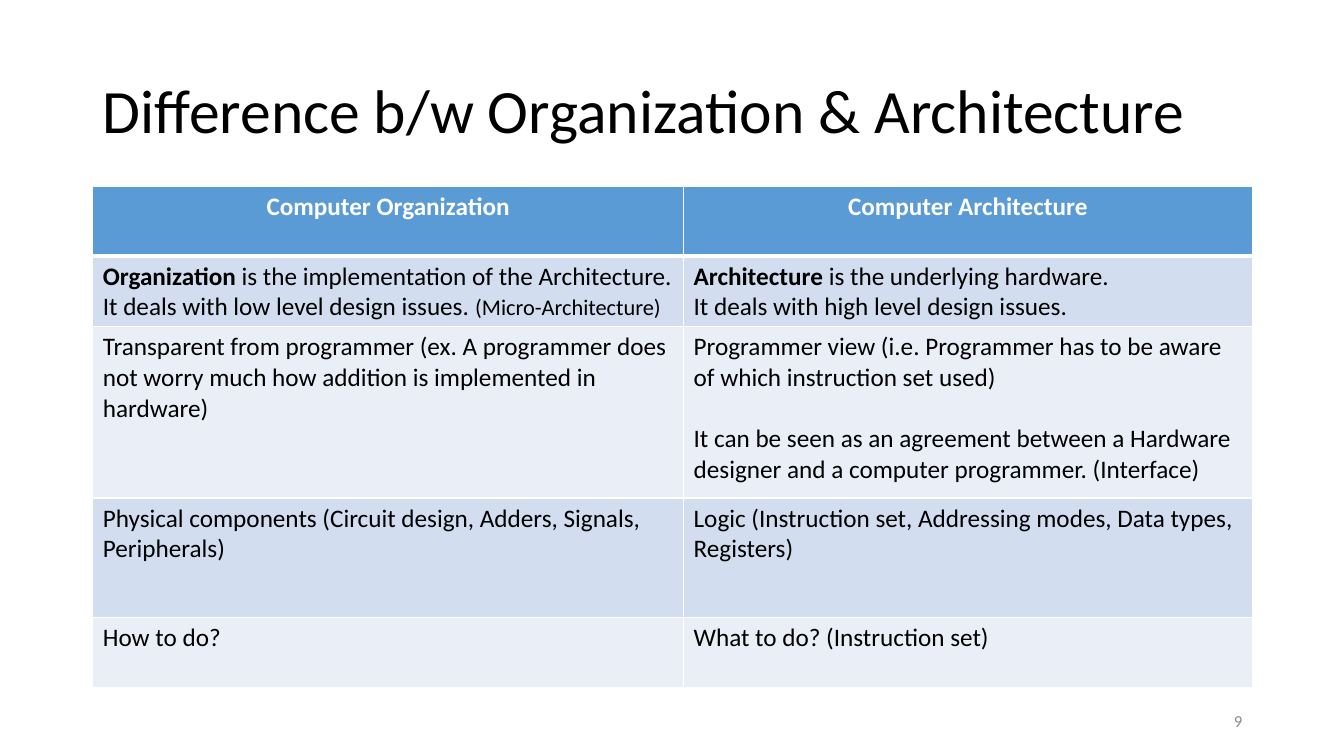
import pptx
import pptx.util
import pptx.dml.color
import pptx.enum.text
from dataclasses import dataclass
from lxml import etree
from pptx.util import Inches


@dataclass(frozen=True)
class Theme:
    font: str = "Calibri"
    ink: str = "000000"
    white: str = "FFFFFF"
    header: str = "5B9BD5"
    bands: tuple = ("D2DEEF", "EAEFF7")
    muted: str = "8C8C8C"
    title_size: int = 44
    body_size: int = 18
    aside_size: int = 16
    number_size: int = 12
    rule: int = 1
    header_rule: int = 3


theme = Theme()
ALIGN = pptx.enum.text.PP_ALIGN
ANCHOR = pptx.enum.text.MSO_ANCHOR


def add_span(para, text, size=theme.body_size, color=theme.ink, bold=False):
    span = para.add_run()
    span.text = text
    span.font.name = theme.font
    span.font.size = pptx.util.Pt(size)
    span.font.bold = bold
    span.font.color.rgb = pptx.dml.color.RGBColor.from_string(color)


def add_border(cell, side, width):
    properties = cell._tc.get_or_add_tcPr()
    namespace = pptx.oxml.ns.nsdecls("a")
    properties.append(pptx.oxml.parse_xml(
        f'<a:{side} {namespace} w="{pptx.util.Pt(width)}"><a:solidFill>'
        f'<a:srgbClr val="{theme.white}"/></a:solidFill></a:{side}>'))


deck = pptx.Presentation()
deck.slide_width = Inches(13.33)
deck.slide_height = Inches(7.5)
page = deck.slides.add_slide(deck.slide_layouts[6])

labels = [
    ("Difference b/w Organization & Architecture", (0.92, 0.4, 11.5, 1.45),
     theme.title_size, theme.ink, ALIGN.LEFT, 0.9),
    ("9", (9.42, 6.95, 3, 0.4), theme.number_size, theme.muted, ALIGN.RIGHT, 1.0),
]
for text, place, size, color, align, spacing in labels:
    box = page.shapes.add_textbox(*map(Inches, place))
    box.text_frame.word_wrap = True
    box.text_frame.vertical_anchor = ANCHOR.MIDDLE
    para = box.text_frame.paragraphs[0]
    para.alignment = align
    para.line_spacing = spacing
    add_span(para, text, size=size, color=color)

heading = {"bold": True, "color": theme.white}
strong = {"bold": True}
aside = {"size": theme.aside_size}
rows = [
    ([[("Computer Organization", heading)]],
     [[("Computer Architecture", heading)]]),
    ([[("Organization", strong), (" is the implementation of the Architecture.", {})],
      [("It deals with low level design issues. ", {}), ("(Micro-Architecture)", aside)]],
     [[("Architecture", strong), (" is the underlying hardware.", {})],
      [("It deals with high level design issues.", {})]]),
    ([[("Transparent from programmer (ex. A programmer does not worry much how "
        "addition is implemented in hardware)", {})]],
     [[("Programmer view (i.e. Programmer has to be aware of which instruction set used)", {})],
      [("It can be seen as an agreement between a Hardware designer and a computer "
        "programmer. (Interface)", {})]]),
    ([[("Physical components (Circuit design, Adders, Signals, Peripherals)", {})]],
     [[("Logic (Instruction set, Addressing modes, Data types, Registers)", {})]]),
    ([[("How to do?", {})]],
     [[("What to do? (Instruction set)", {})]]),
]
row_heights = [0.69, 0.69, 1.7, 1.19, 0.69]
column_widths = [5.86, 5.64]
interface_row = 2

comparison = page.shapes.add_table(
    len(rows), len(column_widths), Inches(0.92), Inches(1.85),
    Inches(sum(column_widths)), Inches(sum(row_heights))).table
for column, width in zip(comparison.columns, column_widths):
    column.width = Inches(width)

for row_index, (row, height) in enumerate(zip(rows, row_heights)):
    comparison.rows[row_index].height = Inches(height)
    fill = theme.bands[(row_index - 1) % 2] if row_index else theme.header
    top = theme.header_rule if row_index == 1 else theme.rule
    bottom = theme.rule if row_index else theme.header_rule
    for column_index, paragraphs in enumerate(row):
        cell = comparison.cell(row_index, column_index)
        for side, width in (("lnL", theme.rule), ("lnR", theme.rule),
                            ("lnT", top), ("lnB", bottom)):
            add_border(cell, side, width)
        cell.fill.solid()
        cell.fill.fore_color.rgb = pptx.dml.color.RGBColor.from_string(fill)
        for para_index, spans in enumerate(paragraphs):
            frame = cell.text_frame
            para = frame.add_paragraph() if para_index else frame.paragraphs[0]
            para.alignment = ALIGN.LEFT if row_index else ALIGN.CENTER
            if para_index and row_index == interface_row:
                para.space_before = pptx.util.Pt(22)
            for text, style in spans:
                add_span(para, text, **style)

deck.save("out.pptx")
